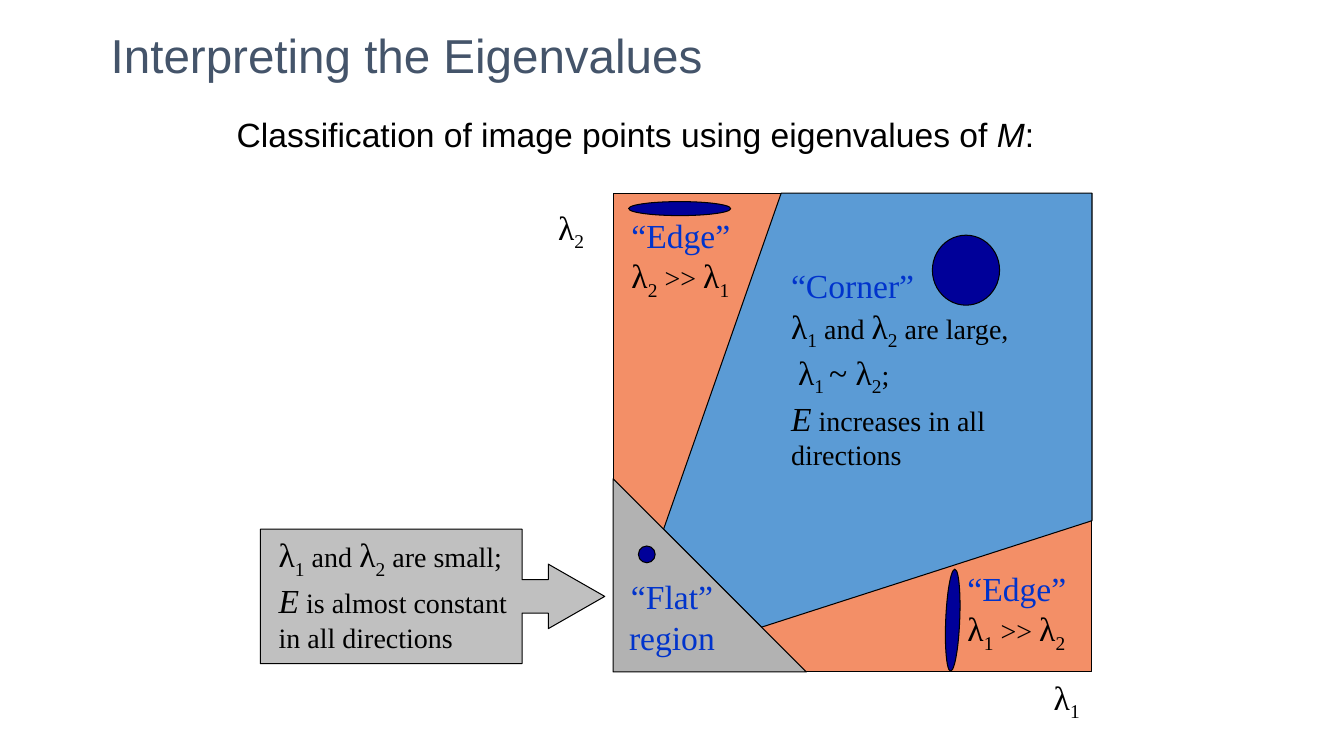
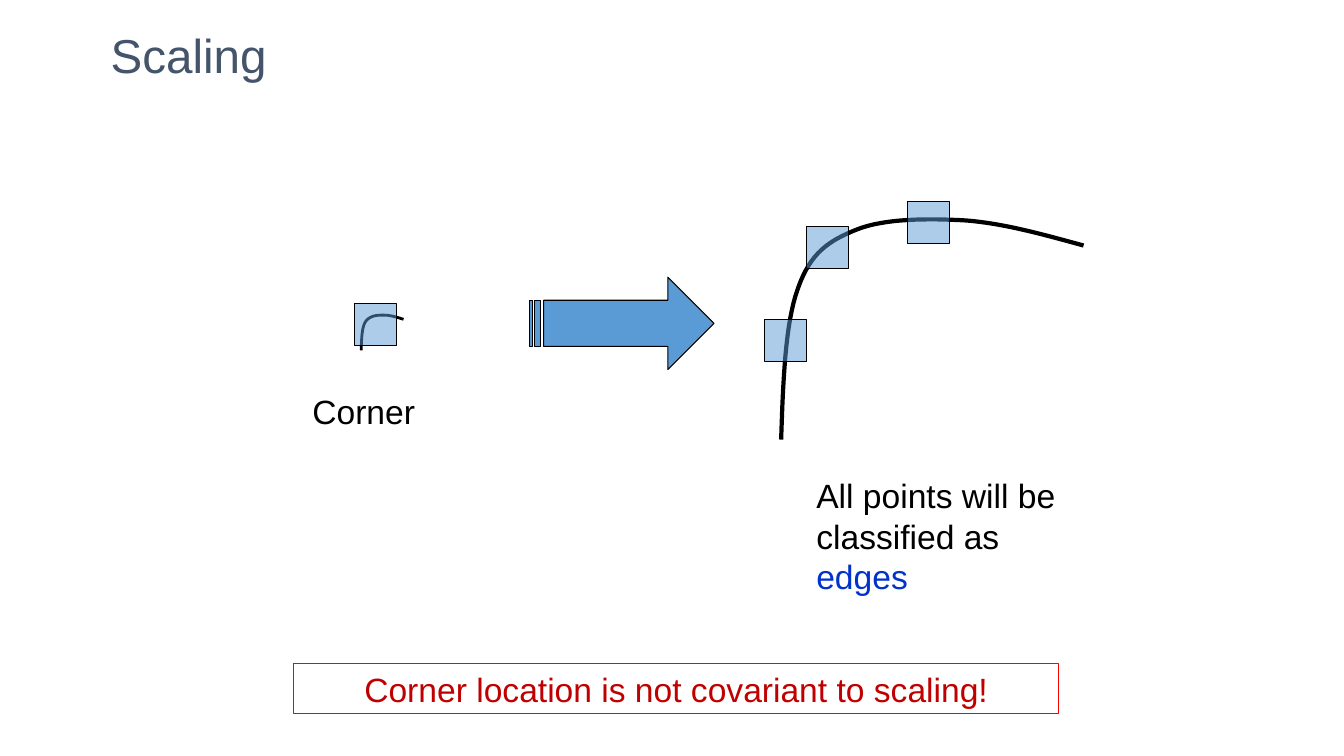
import pptx
import pptx.dml.color
import pptx.enum.shapes
import pptx.enum.text
import pptx.oxml.ns
import pptx.util
from lxml import etree

Pt = pptx.util.Pt
SHAPE = pptx.enum.shapes.MSO_SHAPE
ALIGN = pptx.enum.text.PP_ALIGN
ANCHOR = pptx.enum.text.MSO_ANCHOR

COLORS = {
    "title": "44546A",
    "black": "000000",
    "term": "0033CC",
    "edge": "F38F67",
    "corner": "5B9BD5",
    "flat": "B2B2B2",
    "callout": "C0C0C0",
    "ellipse": "000099",
    "warning": "C00000",
    "warning line": "FF0000",
}
SANS, SERIF = "Arial", "Times New Roman"


def color(name):
    return pptx.dml.color.RGBColor.from_string(COLORS[name])


def add_text(slide, lines, box, size=24, font=SANS, fill="black", align=ALIGN.LEFT, anchor=ANCHOR.TOP):
    """Add a text box; each line is a list of (text, format) runs that override the defaults."""
    text_box = slide.shapes.add_textbox(*map(Pt, box))
    frame = text_box.text_frame
    frame.word_wrap = True
    frame.vertical_anchor = anchor
    for index, line in enumerate(lines):
        paragraph = frame.paragraphs[0] if index == 0 else frame.add_paragraph()
        paragraph.alignment = align
        for text, options in line:
            run = paragraph.add_run()
            run.text = text
            run.font.name = font
            run.font.size = Pt(options.get("size", size))
            run.font.italic = options.get("italic", False)
            run.font.color.rgb = color(options.get("fill", fill))
            if "baseline" in options:
                run._r.get_or_add_rPr().set("baseline", str(options["baseline"] * 1000))
    return text_box


def style_shape(shape, fill=None, line="black", width=0.75, opacity=100):
    shape.shadow.inherit = False
    shape.line.color.rgb = color(line)
    shape.line.width = Pt(width)
    if fill is None:
        shape.fill.background()
        return
    shape.fill.solid()
    shape.fill.fore_color.rgb = color(fill)
    if opacity < 100:
        color_element = shape.fill._xPr.find(".//" + pptx.oxml.ns.qn("a:srgbClr"))
        alpha = etree.SubElement(color_element, pptx.oxml.ns.qn("a:alpha"))
        alpha.set("val", str(opacity * 1000))


presentation = pptx.Presentation()
presentation.slide_width = Pt(960)
presentation.slide_height = Pt(540)

slides = []
for title in ("Interpreting the Eigenvalues", "Scaling"):
    slide = presentation.slides.add_slide(presentation.slide_layouts[6])
    add_text(slide, [[(title, {})]], (72, 6, 816, 66), size=34, fill="title", anchor=ANCHOR.MIDDLE)
    slides.append(slide)
eigenvalue_slide, scaling_slide = slides

# Eigenvalue plane: regions from back to front
callout = eigenvalue_slide.shapes.add_shape(
    SHAPE.RIGHT_ARROW_CALLOUT, Pt(186), Pt(378), Pt(246), Pt(96))
for index, value in enumerate((0.25, 0.24, 0.42, 0.76)):
    callout.adjustments[index] = value
style_shape(callout, "callout")

plane = eigenvalue_slide.shapes.add_shape(SHAPE.RECTANGLE, Pt(438), Pt(138), Pt(342), Pt(342))
style_shape(plane, "edge")

corner_outline = [(474, 378), (558, 138), (780, 138), (780, 372), (544, 448)]
corner_points = [(Pt(x), Pt(y)) for x, y in corner_outline]
builder = eigenvalue_slide.shapes.build_freeform(*corner_points[0], scale=1.0)
builder.add_line_segments(corner_points[1:], close=True)
style_shape(builder.convert_to_shape(), "corner")

flat_region = eigenvalue_slide.shapes.add_shape(
    SHAPE.RIGHT_TRIANGLE, Pt(438), Pt(342), Pt(138), Pt(138))
style_shape(flat_region, "flat")

# Labels of the plane
small = {"size": 20}
term = {"fill": "term"}
italic = {"italic": True}
subscript = {"baseline": -25}
lambda_1 = [("λ", {}), ("1", subscript)]
lambda_2 = [("λ", {}), ("2", subscript)]
both_lambdas = [*lambda_1, (" and ", small), *lambda_2]
much_greater = (" >> ", small)

corner_lines = [
    [("“Corner”", term)],
    [*both_lambdas, (" are large,", small)],
    [(" ", small), *lambda_1, (" ", subscript), ("~ ", {}), *lambda_2, (";", small)],
    [("E", italic), (" increases in all directions", small)],
]
flat_lines = [
    [*both_lambdas, (" are small;", small)],
    [("E", italic), (" is almost constant in all directions", small)],
]
edge_title = [("“Edge”", term)]
for lines, box, align in (
    ([lambda_1], (732, 480, 60, 36), ALIGN.CENTER),
    ([lambda_2], (366, 144, 84, 36), ALIGN.CENTER),
    (corner_lines, (558, 186, 210, 148), ALIGN.LEFT),
    (flat_lines, (192, 378, 186, 90), ALIGN.LEFT),
    ([edge_title, [*lambda_1, much_greater, *lambda_2]], (684, 402, 102, 66), ALIGN.LEFT),
    ([edge_title, [*lambda_2, much_greater, *lambda_1]], (444, 150, 102, 66), ALIGN.LEFT),
    ([[("“Flat” region", term)]], (432, 408, 96, 66), ALIGN.CENTER),
):
    add_text(eigenvalue_slide, lines, box, font=SERIF, align=align)

heading = [("Classification of image points using eigenvalues of ", {}), ("M", italic), (":", {})]
add_text(eigenvalue_slide, [heading], (162, 78, 630, 36))

for box, rotation in (
    ((666, 168, 48, 50), 0),
    ((449, 144, 73, 10), 0),
    ((456, 390, 12, 12), 0),
    ((644, 438, 73, 10), 92.4),
):
    ellipse = eigenvalue_slide.shapes.add_shape(SHAPE.OVAL, *map(Pt, box))
    ellipse.rotation = rotation
    style_shape(ellipse, "ellipse")

# Scaling: one curve, sampled from Bézier segments and drawn at two sizes
curve_controls = [
    (0, 158), (1.4, 116), (2.9, 75), (12, 50), (21, 24.5), (34, 16), (54, 8),
    (74, 0), (105, 0), (132, 1.5), (159, 3.6), (187, 11.5), (216, 19.4),
]
steps = 16
curve = [curve_controls[0]]
for start in range(0, len(curve_controls) - 1, 3):
    segment = curve_controls[start:start + 4]
    for step in range(1, steps + 1):
        t = step / steps
        weights = ((1 - t) ** 3, 3 * t * (1 - t) ** 2, 3 * t ** 2 * (1 - t), t ** 3)
        curve.append(tuple(sum(w * p[axis] for w, p in zip(weights, segment)) for axis in (0, 1)))

for left, top, scale_x, scale_y, width in ((258, 225, 0.14, 0.16, 2), (558, 156, 1, 1, 3)):
    points = [(Pt(left + x * scale_x), Pt(top + y * scale_y)) for x, y in curve]
    builder = scaling_slide.shapes.build_freeform(*points[0], scale=1.0)
    builder.add_line_segments(points[1:], close=False)
    style_shape(builder.convert_to_shape(), width=width)

arrow = scaling_slide.shapes.add_shape(
    SHAPE.STRIPED_RIGHT_ARROW, Pt(378), Pt(198), Pt(132), Pt(66))
style_shape(arrow, "corner")

for left, top in ((253.5, 217), (648, 144), (576, 162), (546, 228)):
    window = scaling_slide.shapes.add_shape(SHAPE.RECTANGLE, Pt(left), Pt(top), Pt(30), Pt(30))
    style_shape(window, "corner", opacity=50)

add_text(scaling_slide, [[("Corner", {})]], (216, 276, 126, 40))
add_text(scaling_slide, [[("All points will be classified as ", {}), ("edges", term)]],
         (576, 336, 204, 108))
conclusion = add_text(scaling_slide, [[("Corner location is not covariant to scaling!", {})]],
                      (210, 474, 546, 36), fill="warning", align=ALIGN.CENTER)
style_shape(conclusion, line="warning line")

presentation.save("out.pptx")
